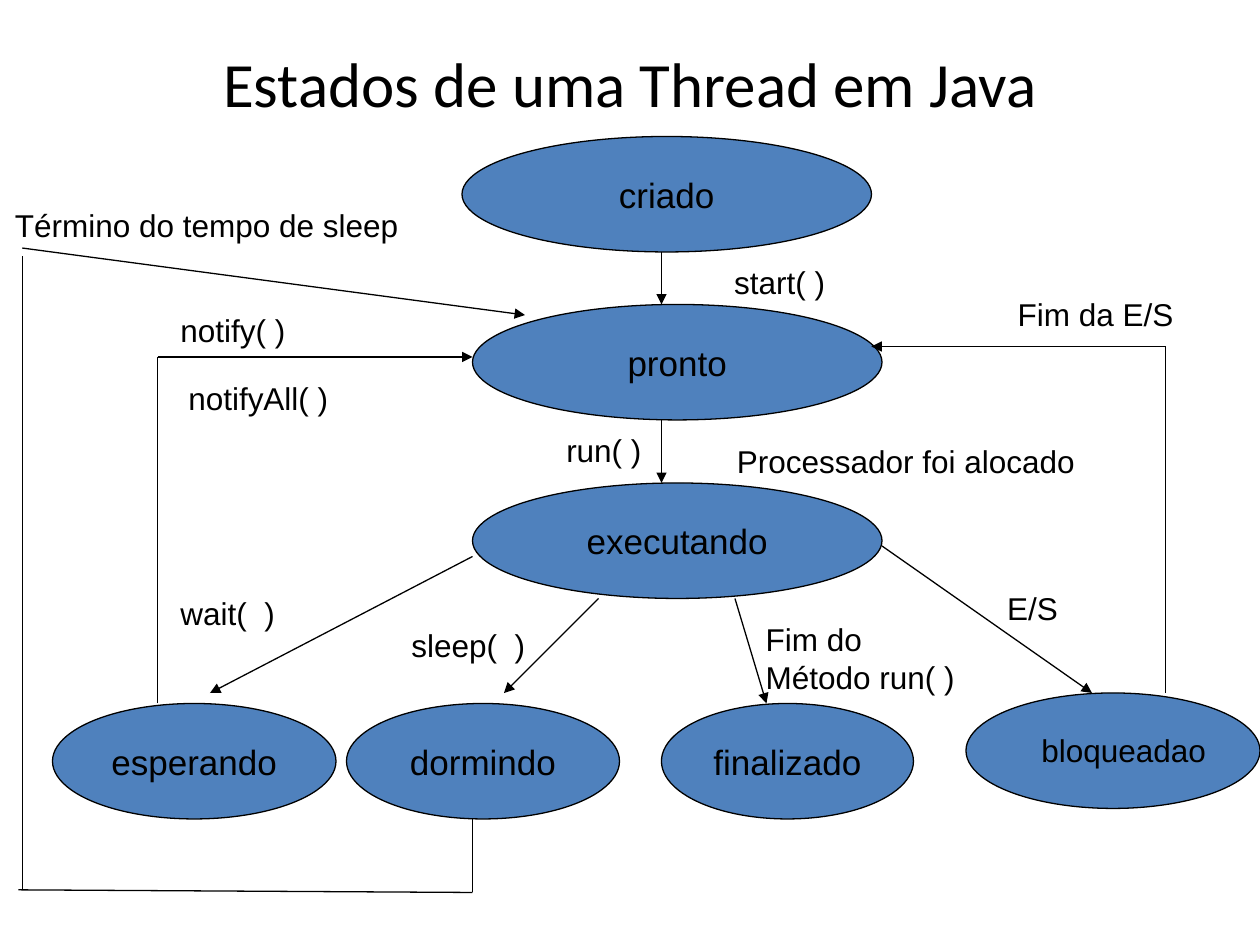
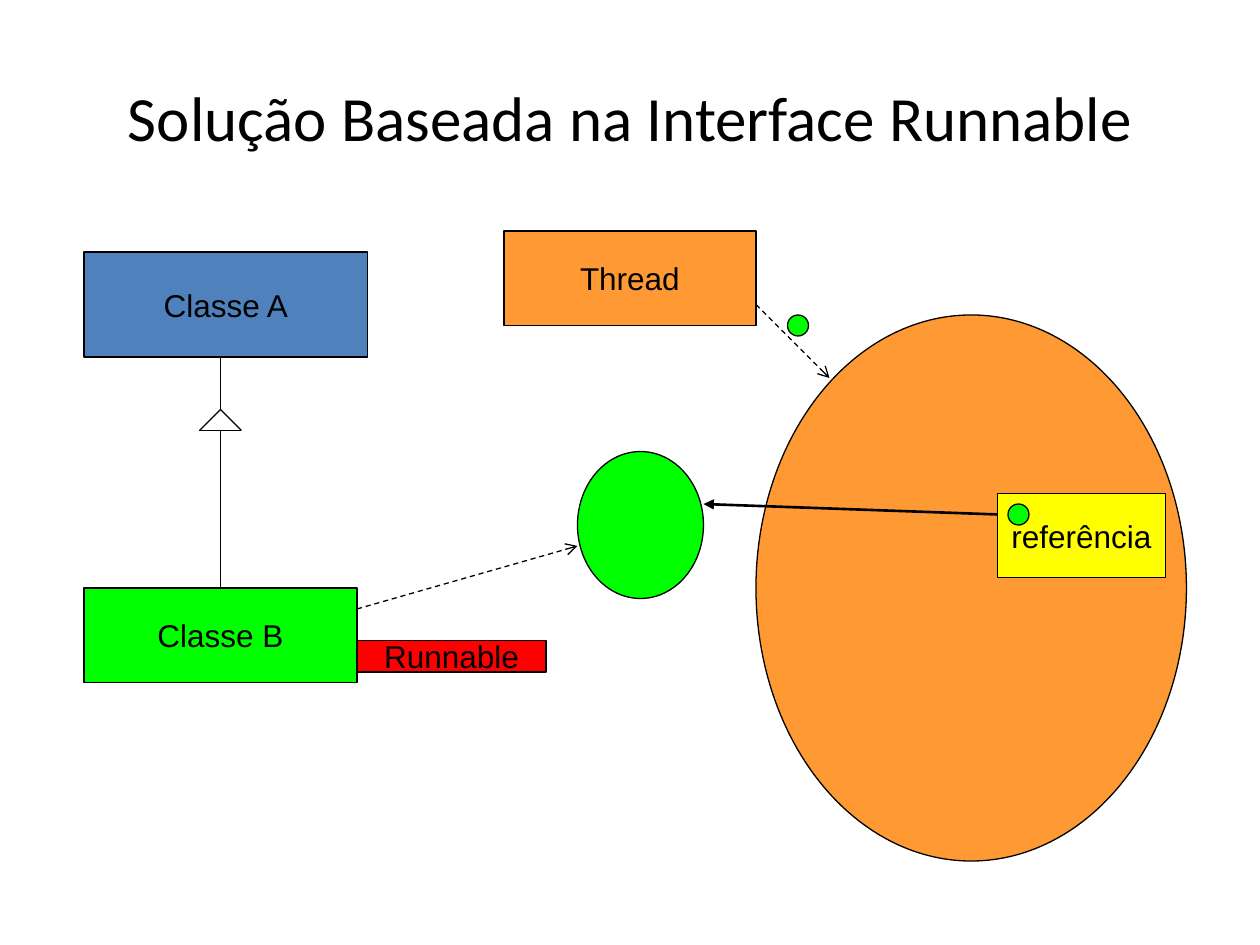
from dataclasses import dataclass

import lxml.etree
import pptx
import pptx.dml.color
import pptx.enum.dml
import pptx.enum.shapes
import pptx.enum.text
import pptx.oxml.ns
import pptx.presentation
import pptx.shapes.autoshape
import pptx.shapes.connector
import pptx.slide
import pptx.text.text
import pptx.util

EMU_PER_PX = 9525
TITLE_ONLY = 5
COLOURS = {
    "ink": "000000",
    "blue": "4F81BD",
    "orange": "FF9933",
    "green": "00FF00",
    "red": "FF0000",
    "yellow": "FFFF00",
}
OVAL = pptx.enum.shapes.MSO_SHAPE.OVAL
RECTANGLE = pptx.enum.shapes.MSO_SHAPE.RECTANGLE
MIDDLE = pptx.enum.text.MSO_ANCHOR.MIDDLE
CENTER = pptx.enum.text.PP_ALIGN.CENTER

Point = tuple[int, int]


@dataclass(frozen=True)
class Node:
    left: int
    top: int
    width: int
    height: int
    text: str = ""
    fill: str = "blue"
    kind: int = OVAL
    size: int = 20


@dataclass(frozen=True)
class Label:
    left: int
    top: int
    width: int
    text: str
    height: int = 38


@dataclass(frozen=True)
class Route:
    """A run of straight lines through points, with an optional arrowhead at its end."""
    points: tuple[Point, ...]
    head: str = ""
    weight: float = 0.75
    dashed: bool = False


STATE_HEIGHT = 88
STATES = [
    Node(352, 104, 312, STATE_HEIGHT, "criado"),
    Node(360, 232, 312, STATE_HEIGHT, "pronto"),
    Node(360, 368, 312, STATE_HEIGHT, "executando"),
    Node(40, 536, 216, STATE_HEIGHT, "esperando"),
    Node(264, 536, 208, STATE_HEIGHT, "dormindo"),
    Node(504, 536, 192, STATE_HEIGHT, "finalizado"),
    Node(736, 528, 224, STATE_HEIGHT),
]
TRANSITIONS = [
    Route(((504, 192), (504, 232)), "triangle"),
    Route(((504, 320), (504, 368)), "triangle"),
    Route(((360, 424), (160, 528)), "triangle"),
    Route(((456, 456), (384, 528)), "triangle"),
    Route(((560, 456), (584, 536)), "triangle"),
    Route(((672, 416), (832, 528)), "triangle"),
    Route(((888, 528), (888, 264), (664, 264)), "triangle"),
    Route(((120, 536), (120, 272), (360, 272)), "triangle"),
    Route(((360, 624), (360, 680), (14, 678))),
    Route(((17, 678), (17, 195))),
    Route(((17, 189), (400, 240)), "triangle"),
]
TRANSITION_LABELS = [
    Label(784, 552, 152, "bloqueadao"),
    Label(550, 196, 96, "start( )"),
    Label(552, 332, 284, "Processador foi alocado"),
    Label(128, 448, 99, "wait(  )"),
    Label(304, 472, 114, "sleep(  )"),
    Label(574, 468, 171, "Fim do\nMétodo run( )", 67),
    Label(758, 444, 66, "E/S"),
    Label(766, 220, 145, "Fim da E/S"),
    Label(128, 232, 107, "notify( )"),
    Label(134, 284, 134, "notifyAll( )"),
    Label(2, 152, 319, "Término do tempo de sleep"),
    Label(422, 324, 84, "run( )"),
]

THREAD_OBJECT = Node(576, 240, 328, 416, fill="orange")
RUNNABLE_OBJECT = Node(440, 344, 96, 112, fill="green")
THREAD_CLASS = Node(384, 176, 192, 72, "Thread", "orange", RECTANGLE, 18)
CLASS_A = Node(64, 192, 216, 80, "Classe A", "blue", RECTANGLE, 18)
CLASS_B = Node(64, 448, 208, 72, "Classe B", "green", RECTANGLE, 18)
INTERFACE = Node(272, 488, 144, 24, "Runnable", "red", RECTANGLE, 18)
REFERENCE = Node(760, 376, 128, 64, "referência", "yellow", RECTANGLE, 18)
REFERENCE_DOTS = [Node(left, top, 16, 16, fill="green")
                  for left, top in ((768, 384), (600, 240))]
INHERITANCE_STEM = Route(((168, 328), (168, 448)))
CLASS_LINKS = [
    Route(((168, 312), (152, 328), (184, 328), (168, 312))),
    Route(((168, 312), (168, 272))),
    Route(((760, 392), (536, 384)), "triangle", 1.5),
    Route(((576, 232), (632, 288)), "arrow", dashed=True),
    Route(((272, 464), (440, 416)), "arrow", dashed=True),
]


def px(length: int) -> pptx.util.Emu:
    return pptx.util.Emu(length * EMU_PER_PX)


def colour(name: str) -> pptx.dml.color.RGBColor:
    return pptx.dml.color.RGBColor.from_string(COLOURS[name])


def write(frame: pptx.text.text.TextFrame, text: str, size: int,
          font: str = "Arial", centred: bool = False) -> None:
    frame.text = text
    for para in frame.paragraphs:
        if centred:
            para.alignment = CENTER
        for span in para.runs:
            span.font.name = font
            span.font.size = pptx.util.Pt(size)
            span.font.color.rgb = colour("ink")


def add_titled_page(deck: pptx.presentation.Presentation, text: str,
                    height: int) -> pptx.slide.Slide:
    page = deck.slides.add_slide(deck.slide_layouts[TITLE_ONLY])
    title = page.shapes.title
    title.left, title.top = px(48), px(29)
    title.width, title.height = px(864), px(height)
    title.text_frame.vertical_anchor = MIDDLE
    title.text_frame.auto_size = pptx.enum.text.MSO_AUTO_SIZE.NONE
    write(title.text_frame, text, 36, "Calibri", centred=True)
    return page


def add_node(page: pptx.slide.Slide, node: Node) -> pptx.shapes.autoshape.Shape:
    shape = page.shapes.add_shape(node.kind, px(node.left), px(node.top),
                                  px(node.width), px(node.height))
    shape.shadow.inherit = False
    shape.fill.solid()
    shape.fill.fore_color.rgb = colour(node.fill)
    shape.line.color.rgb = colour("ink")
    shape.line.width = pptx.util.Pt(0.75)
    if node.text:
        shape.text_frame.word_wrap = False
        shape.text_frame.vertical_anchor = MIDDLE
        write(shape.text_frame, node.text, node.size, centred=True)
    return shape


def add_label(page: pptx.slide.Slide, label: Label) -> None:
    box = page.shapes.add_textbox(px(label.left), px(label.top),
                                  px(label.width), px(label.height))
    box.text_frame.word_wrap = True
    write(box.text_frame, label.text, 18)


def add_route(page: pptx.slide.Slide, route: Route) -> pptx.shapes.connector.Connector:
    """Draw each leg of the route and return the last one."""
    for start, end in zip(route.points, route.points[1:]):
        leg = page.shapes.add_connector(pptx.enum.shapes.MSO_CONNECTOR.STRAIGHT,
                                        *map(px, start + end))
        leg.line.color.rgb = colour("ink")
        leg.line.width = pptx.util.Pt(route.weight)
        if route.dashed:
            leg.line.dash_style = pptx.enum.dml.MSO_LINE.DASH
        properties = leg.element.spPr
        lxml.etree.SubElement(properties, pptx.oxml.ns.qn("a:effectLst"))
    if route.head:
        outline = properties.find(pptx.oxml.ns.qn("a:ln"))
        lxml.etree.SubElement(outline, pptx.oxml.ns.qn("a:tailEnd"), type=route.head)
    return leg


def build_thread_states(deck: pptx.presentation.Presentation) -> None:
    page = add_titled_page(deck, "Estados de uma Thread em Java", 67)
    for state in STATES:
        add_node(page, state)
    for transition in TRANSITIONS:
        add_route(page, transition)
    for label in TRANSITION_LABELS:
        add_label(page, label)


def build_runnable_solution(deck: pptx.presentation.Presentation) -> None:
    page = add_titled_page(deck, "Solução Baseada na Interface Runnable", 120)
    for node in (THREAD_OBJECT, THREAD_CLASS, CLASS_A, INTERFACE,
                 RUNNABLE_OBJECT, REFERENCE):
        add_node(page, node)
    class_b = add_node(page, CLASS_B)
    add_route(page, INHERITANCE_STEM).end_connect(class_b, 0)
    for link in CLASS_LINKS:
        add_route(page, link)
    for dot in REFERENCE_DOTS:
        add_node(page, dot)


def main() -> None:
    deck = pptx.Presentation()
    deck.slide_width, deck.slide_height = px(960), px(720)
    build_thread_states(deck)
    build_runnable_solution(deck)
    deck.save("out.pptx")


if __name__ == "__main__":
    main()
